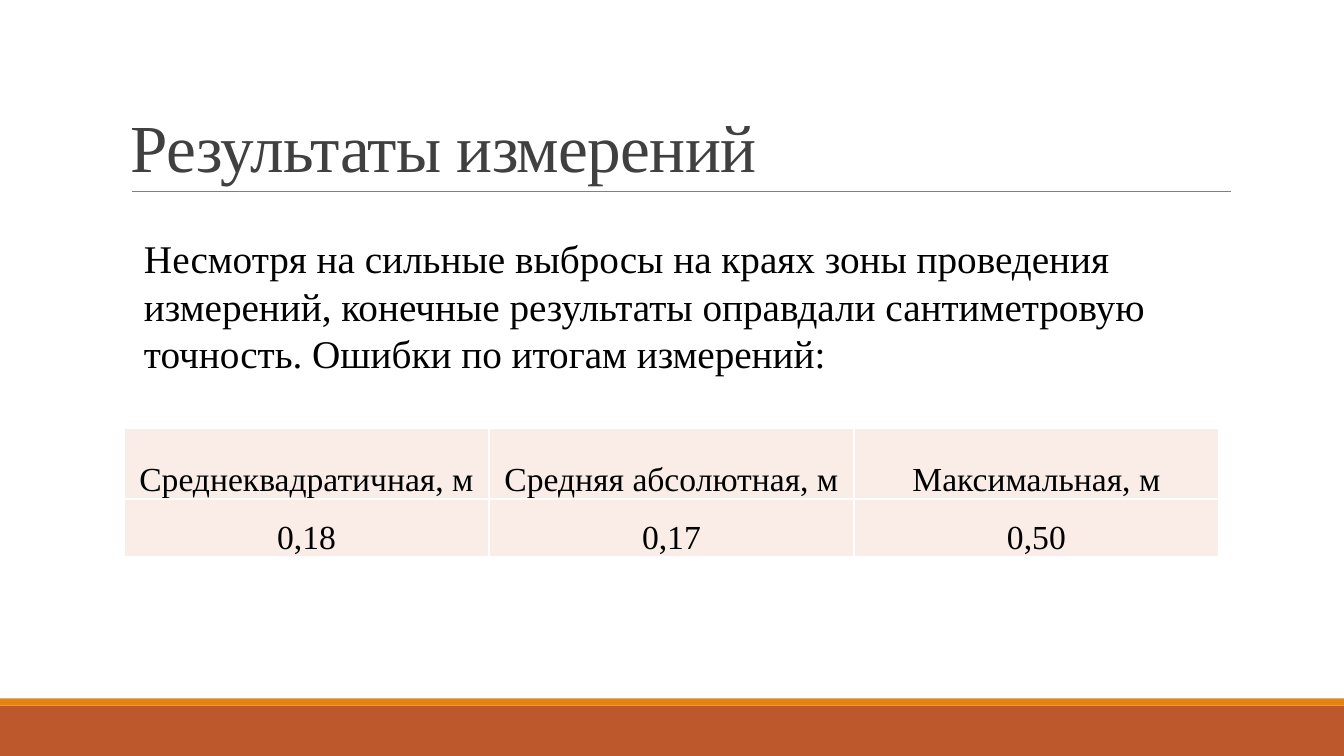
"""Build the slide with the measurement results."""
from dataclasses import dataclass

import lxml.etree
import pptx
import pptx.dml.color
import pptx.enum.shapes
import pptx.enum.text
import pptx.oxml
import pptx.oxml.ns
import pptx.util

EMU_PER_PX = 9144
FONT = "Times New Roman"
ANCHOR = pptx.enum.text.MSO_ANCHOR
ALIGN = pptx.enum.text.PP_ALIGN


@dataclass(frozen=True)
class Band:
    top: int
    height: int
    fill: str


@dataclass(frozen=True)
class TextBlock:
    text: str
    left: int
    top: int
    width: int
    height: int
    size: int
    color: str
    anchor: ANCHOR
    line_spacing: float = 1.0
    tracking: int = 0


BANDS = [Band(700, 50, "BD582C"), Band(693, 7, "E48312")]
TEXT_BLOCKS = [
    TextBlock("Результаты измерений", 120, 31, 1100, 159, 48, "404040",
              ANCHOR.BOTTOM, line_spacing=0.85, tracking=-50),
    TextBlock("Несмотря на сильные выбросы на краях зоны проведения измерений, "
              "конечные результаты оправдали сантиметровую точность. "
              "Ошибки по итогам измерений:",
              133, 228, 1077, 151, 28, "000000", ANCHOR.TOP),
]
ERROR_ROWS = [
    ["Среднеквадратичная, м", "Средняя абсолютная, м", "Максимальная, м"],
    ["0,18", "0,17", "0,50"],
]
ROW_HEIGHTS = [70, 57]
COLUMN_WIDTH = 362


def px(length: int) -> pptx.util.Emu:
    return pptx.util.Emu(length * EMU_PER_PX)


def rgb(color: str) -> pptx.dml.color.RGBColor:
    return pptx.dml.color.RGBColor.from_string(color)


def add_span(para, text: str, size: int, color: str, tracking: int = 0) -> None:
    span = para.add_run()
    span.text = text
    span.font.name = FONT
    span.font.size = pptx.util.Pt(size)
    span.font.color.rgb = rgb(color)
    if tracking:
        span.font._element.set("spc", str(tracking))


def add_band(page, band: Band, width: int) -> None:
    shape = page.shapes.add_shape(pptx.enum.shapes.MSO_SHAPE.RECTANGLE,
                                  0, px(band.top), px(width), px(band.height))
    shape.shadow.inherit = False
    shape.fill.solid()
    shape.fill.fore_color.rgb = rgb(band.fill)
    shape.line.fill.background()


def add_title_rule(page) -> None:
    rule = page.shapes.add_connector(pptx.enum.shapes.MSO_CONNECTOR.STRAIGHT,
                                     px(131), px(190), px(1221), px(190))
    rule.line.color.rgb = rgb("808080")
    rule.line.width = pptx.util.Pt(0.5)
    lxml.etree.SubElement(rule._element.spPr, pptx.oxml.ns.qn("a:effectLst"))


def add_text_block(page, block: TextBlock) -> None:
    box = page.shapes.add_textbox(px(block.left), px(block.top),
                                  px(block.width), px(block.height))
    frame = box.text_frame
    frame.word_wrap = True
    frame.vertical_anchor = block.anchor
    para = frame.paragraphs[0]
    para.line_spacing = block.line_spacing
    add_span(para, block.text, block.size, block.color, block.tracking)


def set_borders(cell, color: str) -> None:
    properties = cell._tc.get_or_add_tcPr()
    for index, side in enumerate(("lnL", "lnR", "lnT", "lnB")):
        border = pptx.oxml.parse_xml(
            f'<a:{side} {pptx.oxml.ns.nsdecls("a")} w="12700"><a:solidFill>'
            f'<a:srgbClr val="{color}"/></a:solidFill></a:{side}>')
        properties.insert(index, border)


def fill_cell(cell, text: str) -> None:
    cell.margin_left = cell.margin_right = cell.margin_top = px(1)
    cell.margin_bottom = 0
    cell.vertical_anchor = ANCHOR.BOTTOM
    cell.fill.solid()
    cell.fill.fore_color.rgb = rgb("FAEDE7")
    set_borders(cell, "FFFFFF")
    para = cell.text_frame.paragraphs[0]
    para.alignment = ALIGN.CENTER
    add_span(para, text, 24, "000000")


def add_error_table(page) -> None:
    column_count = len(ERROR_ROWS[0])
    table = page.shapes.add_table(
        len(ERROR_ROWS), column_count, px(123), px(425),
        px(COLUMN_WIDTH * column_count), px(sum(ROW_HEIGHTS))).table
    table.first_row = table.horz_banding = False
    for column in table.columns:
        column.width = px(COLUMN_WIDTH)
    for row, height, texts in zip(table.rows, ROW_HEIGHTS, ERROR_ROWS):
        row.height = px(height)
        for cell, text in zip(row.cells, texts):
            fill_cell(cell, text)


def main() -> None:
    deck = pptx.Presentation()
    page_width = 1333
    deck.slide_width, deck.slide_height = px(page_width), px(750)
    page = deck.slides.add_slide(deck.slide_layouts[6])
    for band in BANDS:
        add_band(page, band, page_width)
    add_title_rule(page)
    for block in TEXT_BLOCKS:
        add_text_block(page, block)
    add_error_table(page)
    deck.save("out.pptx")


if __name__ == "__main__":
    main()
